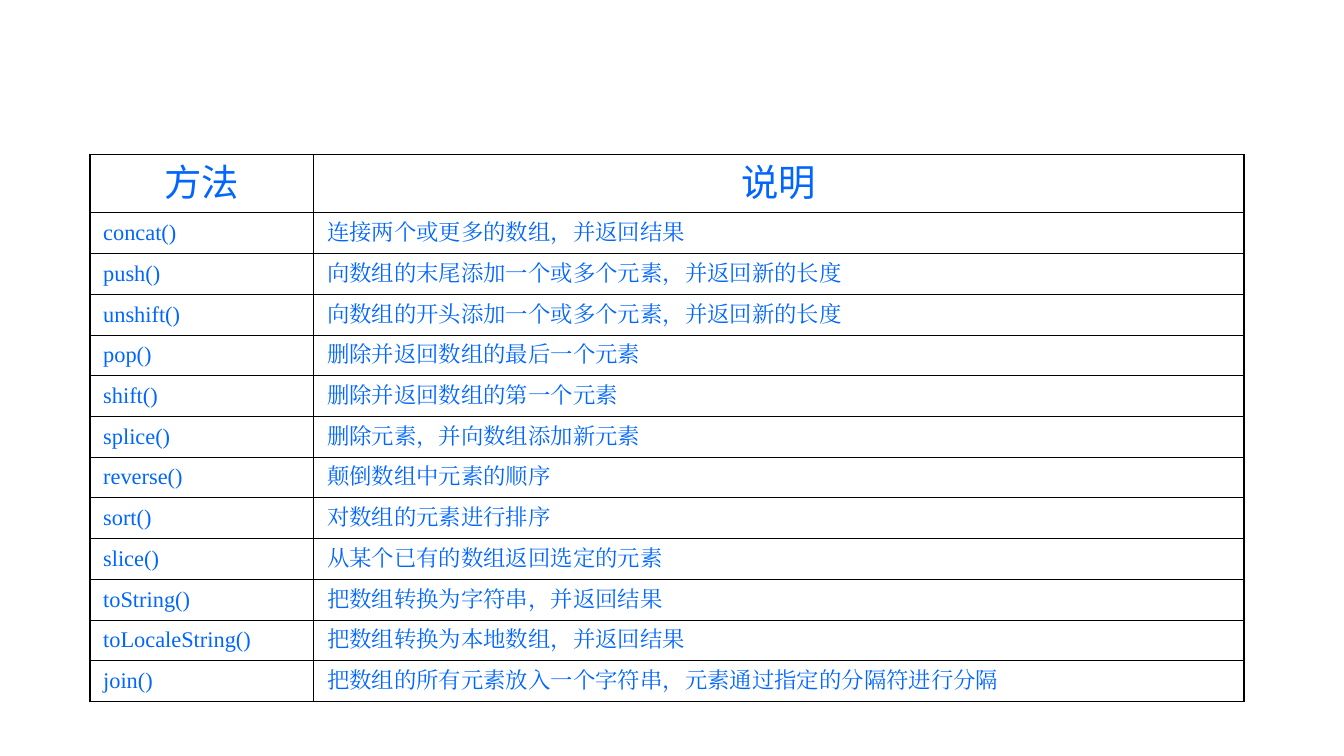
from dataclasses import dataclass

from lxml import etree
from pptx import Presentation
from pptx.dml.color import RGBColor
from pptx.enum.text import MSO_ANCHOR, PP_ALIGN
from pptx.oxml.ns import qn
from pptx.util import Cm, Pt

MIDDLE = MSO_ANCHOR.MIDDLE
CENTER, LEFT = PP_ALIGN.CENTER, PP_ALIGN.LEFT


@dataclass
class Theme:
    text: str = "0066FF"
    border: str = "000000"
    head_font: str = "Arial"
    body_font: str = "Times New Roman"
    head_size: int = 20
    body_size: int = 12
    outer_line: float = 0.75
    inner_line: float = 0.45


theme = Theme()


def write_text(tf, text, *, size, font, align):
    p = tf.paragraphs[0]
    p.alignment = align
    r = p.add_run()
    r.text = text
    r.font.size = Pt(size)
    r.font.color.rgb = RGBColor.from_string(theme.text)
    r.font.name = font
    latin = r.font._element.find(qn("a:latin"))
    latin.addnext(etree.Element(qn("a:ea"), typeface=font))


def add_border(cell, side, width):
    tcPr = cell._tc.get_or_add_tcPr()
    ln = etree.SubElement(tcPr, qn(f"a:ln{side}"), w=str(Pt(width)))
    fill = etree.SubElement(ln, qn("a:solidFill"))
    etree.SubElement(fill, qn("a:srgbClr"), val=theme.border)


rows = [
    ("方法", "说明"),
    ("concat()", "连接两个或更多的数组，并返回结果"),
    ("push()", "向数组的末尾添加一个或多个元素，并返回新的长度"),
    ("unshift()", "向数组的开头添加一个或多个元素，并返回新的长度"),
    ("pop()", "删除并返回数组的最后一个元素"),
    ("shift()", "删除并返回数组的第一个元素"),
    ("splice()", "删除元素，并向数组添加新元素"),
    ("reverse()", "颠倒数组中元素的顺序"),
    ("sort()", "对数组的元素进行排序"),
    ("slice()", "从某个已有的数组返回选定的元素"),
    ("toString()", "把数组转换为字符串，并返回结果"),
    ("toLocaleString()", "把数组转换为本地数组，并返回结果"),
    ("join()", "把数组的所有元素放入一个字符串，元素通过指定的分隔符进行分隔"),
]
col_widths = [4.23, 17.58]
row_heights = [1.1] + [0.77] * (len(rows) - 1)

prs = Presentation()
prs.slide_width, prs.slide_height = Cm(25.4), Cm(14.29)
s = prs.slides.add_slide(prs.slide_layouts[6])

sp = s.shapes.add_table(
    len(rows), len(col_widths), Cm(1.7), Cm(2.92), Cm(sum(col_widths)), Cm(sum(row_heights))
)
table = sp.table
table.first_row = False
table.horz_banding = False
for column, width in zip(table.columns, col_widths):
    column.width = Cm(width)
for row, height in zip(table.rows, row_heights):
    row.height = Cm(height)

for i, texts in enumerate(rows):
    is_head = i == 0
    for j, text in enumerate(texts):
        cell = table.cell(i, j)
        cell.vertical_anchor = MIDDLE
        cell.margin_left = cell.margin_right = Cm(0.25)
        cell.margin_top = cell.margin_bottom = Cm(0.13)
        write_text(
            cell.text_frame,
            text,
            size=theme.head_size if is_head else theme.body_size,
            font=theme.head_font if is_head else theme.body_font,
            align=CENTER if is_head else LEFT,
        )
        on_edge = {
            "L": j == 0,
            "R": j == len(col_widths) - 1,
            "T": is_head,
            "B": i == len(rows) - 1,
        }
        for side, outer in on_edge.items():
            add_border(cell, side, theme.outer_line if outer else theme.inner_line)
        cell.fill.background()

prs.save("out.pptx")
